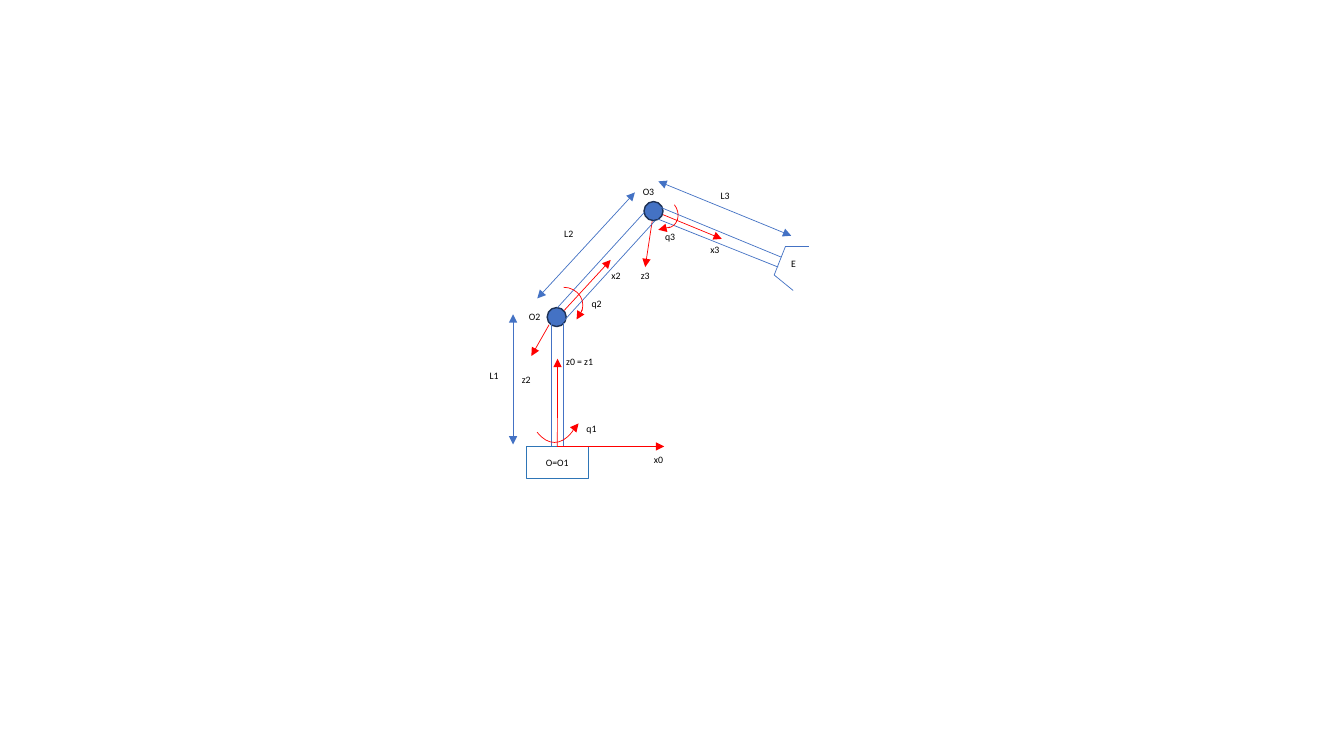
from dataclasses import dataclass

from lxml.etree import SubElement
from pptx import Presentation
from pptx.dml.color import RGBColor
from pptx.enum.shapes import MSO_CONNECTOR as Link, MSO_SHAPE as Kind
from pptx.enum.text import MSO_ANCHOR as Anchor, MSO_AUTO_SIZE as Fit, PP_ALIGN as Align
from pptx.oxml.ns import qn
from pptx.shapes.autoshape import Shape
from pptx.shapes.connector import Connector
from pptx.shapes.shapetree import SlideShapes as Shapes
from pptx.text.text import TextFrame as Frame
from pptx.util import Cm, Pt

BLUE = RGBColor(0x44, 0x72, 0xC4)
NAVY = RGBColor(0x1E, 0x32, 0x56)
STEEL = RGBColor(0x2E, 0x75, 0xB6)
RED = RGBColor(0xFF, 0x00, 0x00)
BLACK = RGBColor(0x00, 0x00, 0x00)

THIN = 0.5
ROUND = 0.48
TAIL = ("a:tailEnd",)
BOTH = ("a:headEnd", "a:tailEnd")


@dataclass
class Line:
    x1: float
    y1: float
    x2: float
    y2: float
    color: RGBColor = BLUE
    tips: tuple[str, ...] = ()


@dataclass
class Arc:
    x: float
    y: float
    wide: float
    high: float
    start: float
    stop: float
    turn: float = 0


@dataclass
class Label:
    text: str
    x: float
    y: float
    wide: float = 0.79


JOINTS = [(13.79, 7.75), (16.23, 5.08)]

ARMS = [
    Line(13.89, 8.15, 13.89, 11.25),
    Line(14.2, 8.15, 14.2, 11.25),
    Line(14.05, 7.75, 16.23, 5.36),
    Line(14.15, 8.15, 16.51, 5.56),
    Line(16.66, 5.23, 19.69, 6.48),
    Line(16.38, 5.44, 19.61, 6.73),
    Line(19.79, 6.22, 19.51, 6.93),
    Line(19.79, 6.22, 20.4, 6.22),
    Line(19.51, 6.93, 19.99, 7.32),
]

ARCS = [
    Arc(13.72, 7.24, 0.97, 0.89, 162, 12.58),
    Arc(13.11, 7.39, 1.73, 3.76, 44.25, 63.07),
    Arc(16.33, 5.03, 0.79, 0.69, 162, 12.58, 51.5),
]

TURNS = [
    Line(14.68, 7.8, 14.53, 8.05, RED, TAIL),
    Line(14.43, 10.85, 14.58, 10.67, RED, TAIL),
    Line(16.89, 5.72, 16.59, 5.79, RED, TAIL),
]

ROOTS = [
    Line(14.05, 11.25, 16.74, 11.25, RED, TAIL),
    Line(14.05, 11.25, 14.05, 9.04, RED, TAIL),
]

AXES = [
    Line(13.84, 8.18, 13.39, 8.97, RED, TAIL),
    Line(14.22, 7.82, 15.39, 6.55, RED, TAIL),
    Line(16.71, 5.41, 18.19, 6.02, RED, TAIL),
]

SPANS = [
    Line(12.93, 7.92, 12.93, 11.2, BLUE, BOTH),
    Line(13.54, 7.52, 16, 4.85, BLUE, BOTH),
    Line(16.59, 4.57, 19.94, 5.94, BLUE, BOTH),
]

LABELS = [
    Label("q1", 14.53, 10.52),
    Label("q2", 14.66, 7.37),
    Label("q3", 16.51, 5.69),
    Label("x0", 16.23, 11.3),
    Label("z0 = z1", 14.02, 8.84, 1.32),
    Label("z2", 12.9, 9.3),
    Label("O2", 13.08, 7.7, 0.84),
    Label("x2", 15.16, 6.68),
    Label("z3", 15.9, 6.68),
    Label("x3", 17.65, 6.02),
    Label("O3", 15.95, 4.55, 0.84),
    Label("L1", 12.09, 9.19),
    Label("L2", 13.97, 5.61),
    Label("L3", 17.91, 4.65),
    Label("E", 19.69, 6.38, 0.64),
]


def draw_line(shapes: Shapes, item: Line) -> Connector:
    line = shapes.add_connector(
        Link.STRAIGHT, Cm(item.x1), Cm(item.y1), Cm(item.x2), Cm(item.y2))
    line.line.color.rgb = item.color
    line.line.width = Pt(THIN)
    for tip in item.tips:
        SubElement(line.get_or_add_ln(), qn(tip), type="triangle")
    SubElement(line._element.spPr, qn("a:effectLst"))
    return line


def draw_shape(shapes: Shapes, kind: Kind, x: float, y: float, wide: float,
               high: float, color: RGBColor, weight: float = THIN) -> Shape:
    shape = shapes.add_shape(kind, Cm(x), Cm(y), Cm(wide), Cm(high))
    shape.shadow.inherit = False
    shape.fill.background()
    shape.line.color.rgb = color
    shape.line.width = Pt(weight)
    return shape


def draw_joint(shapes: Shapes, x: float, y: float) -> None:
    joint = draw_shape(shapes, Kind.OVAL, x, y, ROUND, ROUND, NAVY, 1)
    joint.fill.solid()
    joint.fill.fore_color.rgb = BLUE


def draw_arc(shapes: Shapes, item: Arc) -> None:
    arc = draw_shape(shapes, Kind.ARC, item.x, item.y, item.wide, item.high, RED)
    arc.adjustments[0] = item.start
    arc.adjustments[1] = item.stop
    arc.rotation = item.turn


def write(frame: Frame, text: str, align: Align = Align.LEFT) -> None:
    para = frame.paragraphs[0]
    para.text = text
    para.alignment = align
    para.font.name = "Calibri"
    para.font.size = Pt(7)
    para.font.color.rgb = BLACK


def draw_label(shapes: Shapes, item: Label) -> None:
    box = shapes.add_textbox(Cm(item.x), Cm(item.y), Cm(item.wide), Cm(0.56))
    frame = box.text_frame
    frame.word_wrap = False
    frame.auto_size = Fit.SHAPE_TO_FIT_TEXT
    write(frame, item.text)


def main() -> None:
    deck = Presentation()
    deck.slide_width, deck.slide_height = Cm(33.87), Cm(19.05)
    shapes = deck.slides.add_slide(deck.slide_layouts[6]).shapes

    draw_line(shapes, Line(16.51, 5.08, 16.26, 6.73, RED, TAIL))
    for x, y in JOINTS:
        draw_joint(shapes, x, y)
    base = draw_shape(shapes, Kind.RECTANGLE, 13.27, 11.25, 1.55, 0.81, STEEL)
    base.text_frame.vertical_anchor = Anchor.MIDDLE
    write(base.text_frame, "O=O1", Align.CENTER)
    for item in ARMS:
        draw_line(shapes, item)
    for arc in ARCS:
        draw_arc(shapes, arc)
    for item in ROOTS:
        draw_line(shapes, item).begin_connect(base, 0)
    for item in TURNS + AXES + SPANS:
        draw_line(shapes, item)
    for label in LABELS:
        draw_label(shapes, label)

    deck.save("out.pptx")


if __name__ == "__main__":
    main()
